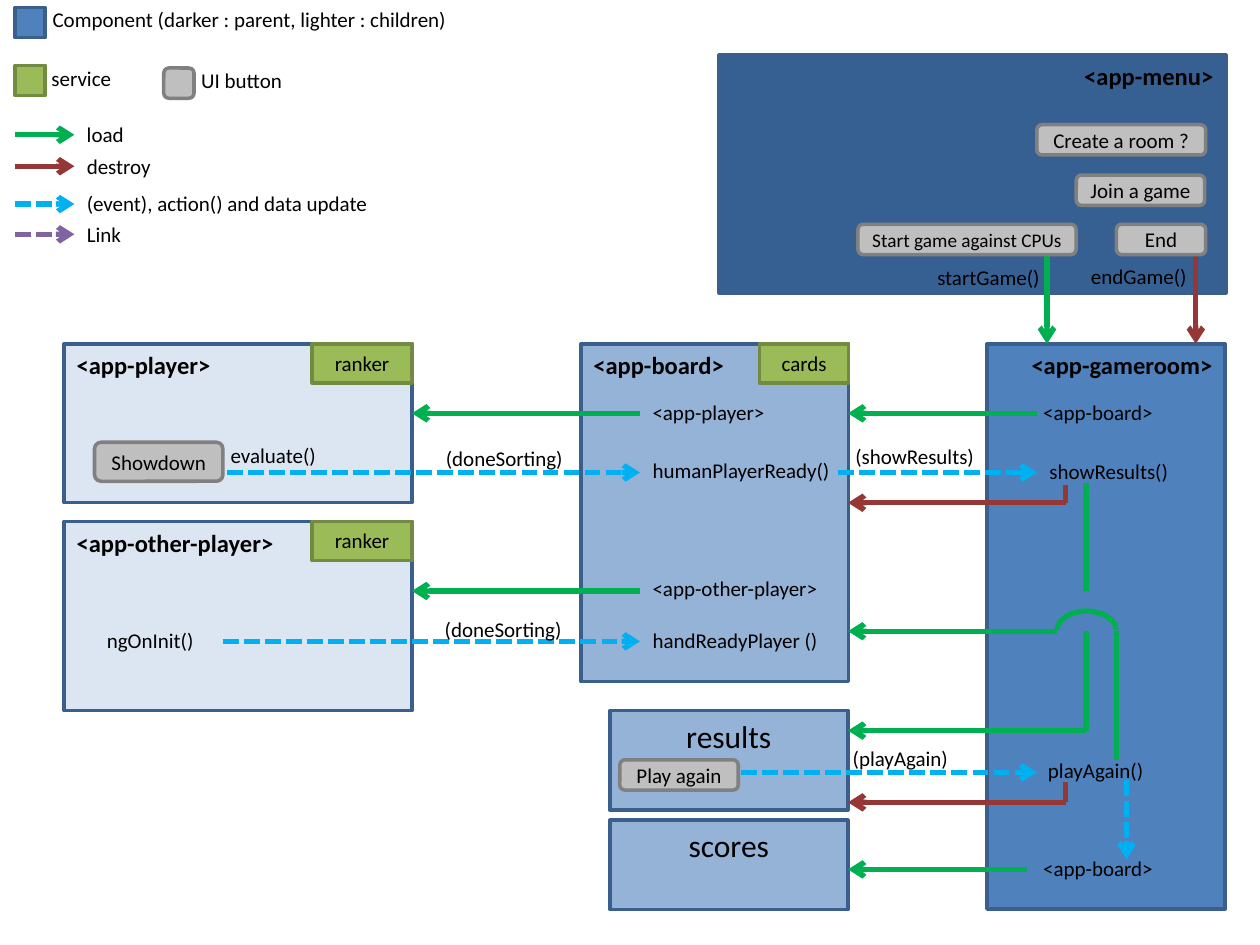
import pptx
import pptx.dml.color
import pptx.enum.dml
import pptx.enum.shapes
import pptx.enum.text
import pptx.oxml
import pptx.oxml.ns
import pptx.util
from lxml import etree

Pt = pptx.util.Pt
SHAPE = pptx.enum.shapes.MSO_SHAPE
ALIGN = pptx.enum.text.PP_ALIGN
ANCHOR = pptx.enum.text.MSO_ANCHOR

BLACK, WHITE = "000000", "FFFFFF"
NAVY, BLUE, SOFT_BLUE, PALE_BLUE, BLUE_EDGE = "376092", "4F81BD", "95B3D7", "DCE6F2", "3A5F8C"
OLIVE, OLIVE_EDGE, GREY, GREY_EDGE = "9BBB59", "738A42", "BFBFBF", "808080"
LOAD, DESTROY, EVENT, LINK = "00B050", "953735", "00B0F0", "8064A2"
BUTTON_HEIGHT = 17.3


def color(hex_text):
    """Turn a hex string into a colour."""
    return pptx.dml.color.RGBColor.from_string(hex_text)


def write(frame, text, size=12, bold=False, align=ALIGN.LEFT, anchor=ANCHOR.TOP):
    """Put one formatted paragraph in a text frame."""
    frame.vertical_anchor = anchor
    para = frame.paragraphs[0]
    para.alignment = align
    span = para.add_run()
    span.text = text
    span.font.name, span.font.size, span.font.bold = "Calibri", Pt(size), bold
    span.font.color.rgb = color(BLACK)


def add_block(page, kind, box, fill, edge, weight=2):
    """Add a preset shape, unfilled when fill is None."""
    block = page.shapes.add_shape(kind, *map(Pt, box))
    block.shadow.inherit = False
    if fill:
        block.fill.solid()
        block.fill.fore_color.rgb = color(fill)
    else:
        block.fill.background()
    block.line.color.rgb = color(edge)
    block.line.width = Pt(weight)
    return block


def add_label(page, left, top, width, text):
    """Add a one-line text box."""
    label = page.shapes.add_textbox(Pt(left), Pt(top), Pt(width), Pt(21.8))
    label.text_frame.word_wrap = False
    label.text_frame.auto_size = pptx.enum.text.MSO_AUTO_SIZE.SHAPE_TO_FIT_TEXT
    write(label.text_frame, text)


def add_button(page, left, top, width, text, height=BUTTON_HEIGHT, size=12):
    """Add a grey rounded button."""
    button = add_block(page, SHAPE.ROUNDED_RECTANGLE, (left, top, width, height), GREY, GREY_EDGE)
    write(button.text_frame, text, size=size, align=ALIGN.CENTER, anchor=ANCHOR.MIDDLE)


def add_route(page, origin, points, hue, head=True):
    """Join points given from origin by lines, with an arrowhead on the last."""
    spots = [(Pt(origin[0] + x), Pt(origin[1] + y)) for x, y in points]
    for start, end in zip(spots, spots[1:]):
        wire = page.shapes.add_connector(
            pptx.enum.shapes.MSO_CONNECTOR.STRAIGHT, *start, *end)
        wire.line.color.rgb = color(hue)
        wire.line.width = Pt(3)
        if hue in (EVENT, LINK):
            wire.line.dash_style = pptx.enum.dml.MSO_LINE.SQUARE_DOT
        if head and end == spots[-1]:
            tail = etree.SubElement(wire.line._get_or_add_ln(), pptx.oxml.ns.qn("a:tailEnd"))
            tail.set("type", "arrow")
        etree.SubElement(wire._element.spPr, pptx.oxml.ns.qn("a:effectLst"))


def add_panel(page, box, title, fill, size=14, align=ALIGN.LEFT, service=None, tab=0):
    """Add a component with its title and an optional service in the top right corner."""
    panel = add_block(page, SHAPE.RECTANGLE, box, fill, BLUE_EDGE)
    write(panel.text_frame, title, size=size, bold=size == 14, align=align)
    if service:
        left, top, width, _ = box
        corner = (left + width - tab, top, tab, 22.3)
        badge = add_block(page, SHAPE.RECTANGLE, corner, OLIVE, OLIVE_EDGE)
        write(badge.text_frame, service, align=ALIGN.CENTER)


def add_labels(page, origin, rows):
    """Add labels given as left, top, width and text from origin."""
    for left, top, width, text in rows:
        add_label(page, origin[0] + left, origin[1] + top, width, text)


def draw_legend(page, box):
    """Explain the swatches and arrows."""
    left, top = box[:2]
    for x, y, kind, fill, edge in [
            (0, 0, SHAPE.RECTANGLE, BLUE, BLUE_EDGE),
            (0, 33.1, SHAPE.RECTANGLE, OLIVE, OLIVE_EDGE),
            (85, 34.6, SHAPE.ROUNDED_RECTANGLE, GREY, GREY_EDGE)]:
        add_block(page, kind, (left + x, top + y, 17.3, 17.3), fill, edge)
    add_labels(page, box, [
        (14.4, -4.3, 241, "Component (darker : parent, lighter : children)"),
        (13.7, 29.5, 49, "service"), (99.3, 31, 62, "UI button")])
    for y, hue, width, text in [
            (72.7, LOAD, 39, "load"), (90.7, DESTROY, 51, "destroy"),
            (112.3, EVENT, 176.4, "(event), action() and data update"),
            (129.6, LINK, 34.6, "Link")]:
        add_route(page, box, [(0, y), (33.9, y)], hue)
        add_labels(page, box, [(33.9, y - 11, width, text)])


def draw_menu(page, box):
    """Fill the menu with its buttons and calls."""
    left, top = box[:2]
    add_route(page, box, [(187.3, 114), (187.3, 165)], LOAD)
    add_route(page, box, [(272.3, 114), (272.3, 165)], DESTROY)
    for x, y, width, text, size in [
            (181.5, 39.8, 96.5, "Create a room ?", 12), (204, 68.6, 73.4, "Join a game", 12),
            (79.3, 96.7, 124.6, "Start game against CPUs", 11), (227, 96.7, 51, "End", 12)]:
        add_button(page, left + x, top + y, width, text, size=size)
    add_labels(page, box, [(117.5, 116, 73.4, "startGame()"), (205.3, 115.4, 69.8, "endGame()")])


def draw_gameroom(page, box):
    """Fill the game room with its calls and the wires to its children."""
    left, top = box[:2]
    child = -79.4
    for hue, points in [
            (LOAD, [(28.6, 39.7), (child, 39.7)]),
            (DESTROY, [(45, 80.7), (45, 90.8), (child, 90.8)]),
            (LOAD, [(40, 164.2), (child, 164.2)]),
            (LOAD, [(56.6, 164.2), (56.6, 221), (child, 221)]),
            (DESTROY, [(45, 250.6), (45, 262), (child, 262)]),
            (EVENT, [(79.7, 249.2), (79.7, 294.5)]),
            (LOAD, [(22.8, 300.3), (child, 300.3)])]:
        add_route(page, box, points, hue)
    add_route(page, box, [(56.6, 79.3), (56.6, 141.2)], LOAD, head=False)
    add_route(page, box, [(73.9, 164.2), (73.9, 237.7)], LOAD, head=False)
    bridge = add_block(page, SHAPE.ARC, (left + 40, top + 152.7, 33.9, 22.3), None, LOAD, weight=3)
    bridge.adjustments[0], bridge.adjustments[1] = 108.9, 215.5
    add_labels(page, box, [
        (25, 28, 77.8, "<app-board>"), (28.6, 62, 83.5, "showResults()"),
        (27.8, 232.6, 69, "playAgain()"), (25, 288.8, 77.8, "<app-board>")])


def draw_board(page, box):
    """Fill the board with its players and calls."""
    for y in (39.7, 141.2):
        add_route(page, box, [(33.8, y), (-96.6, y)], LOAD)
    add_route(page, box, [(146.8, 73.5), (260.6, 73.5)], EVENT)
    add_labels(page, box, [
        (33.8, 28, 79.2, "<app-player>"), (33.8, 61.3, 116.6, "humanPlayerReady()"),
        (33.8, 129, 109.4, "<app-other-player>"), (33.8, 158.5, 109.4, "handReadyPlayer ()"),
        (149.7, 53.3, 83.5, "(showResults)")])


def draw_player(page, box):
    """Fill the human player."""
    add_route(page, box, [(57, 73.5), (329, 73.5)], EVENT)
    add_button(page, box[0] + 17.3, box[1] + 56.2, 73.4, "Showdown", height=22.3)
    add_labels(page, box, [(88, 52.6, 63.4, "evaluate()"), (211, 54.8, 82, "(doneSorting)")])


def draw_other_player(page, box):
    """Fill the other player."""
    add_route(page, box, [(90.7, 68.5), (329, 68.5)], EVENT)
    add_labels(page, box, [(17.3, 57, 67, "ngOnInit()"), (210.3, 50.5, 82, "(doneSorting)")])


def draw_results(page, box):
    """Fill the results with the replay button."""
    add_route(page, box, [(51, 35.4), (244, 35.4)], EVENT)
    add_button(page, box[0] + 5.7, box[1] + 28.2, 67.7, "Play again")
    add_labels(page, box, [(131.7, 16.6, 69, "(playAgain)")])


def main():
    """Build the component diagram."""
    deck = pptx.Presentation()
    deck.slide_width, deck.slide_height = Pt(720), Pt(540)
    page = deck.slides.add_slide(deck.slide_layouts[6])
    page.background.fill.solid()
    page.background.fill.fore_color.rgb = color(WHITE)

    menu = (411, 31.5, 289.5, 136)
    gameroom = (564, 196.5, 136, 323)
    board = (332, 196.5, 153, 193)
    player = (36.7, 196.5, 198.7, 90.7)
    other_player = (36.7, 298, 198.7, 108)
    results = (348.5, 406, 136, 57)
    scores = (348.5, 468.7, 136, 51)

    add_panel(page, menu, "<app-menu>", NAVY, align=ALIGN.RIGHT)
    add_panel(page, gameroom, "<app-gameroom>", BLUE, align=ALIGN.RIGHT)
    add_panel(page, board, "<app-board>", SOFT_BLUE, service="cards", tab=51)
    add_panel(page, player, "<app-player>", PALE_BLUE, service="ranker", tab=57)
    add_panel(page, other_player, "<app-other-player>", PALE_BLUE, service="ranker", tab=57)
    for box, title in [(results, "results"), (scores, "scores")]:
        add_panel(page, box, title, SOFT_BLUE, size=18, align=ALIGN.CENTER)

    draw_legend(page, (8.6, 4.3))
    draw_menu(page, menu)
    draw_gameroom(page, gameroom)
    draw_board(page, board)
    draw_player(page, player)
    draw_other_player(page, other_player)
    draw_results(page, results)
    deck.save("out.pptx")


if __name__ == "__main__":
    main()
